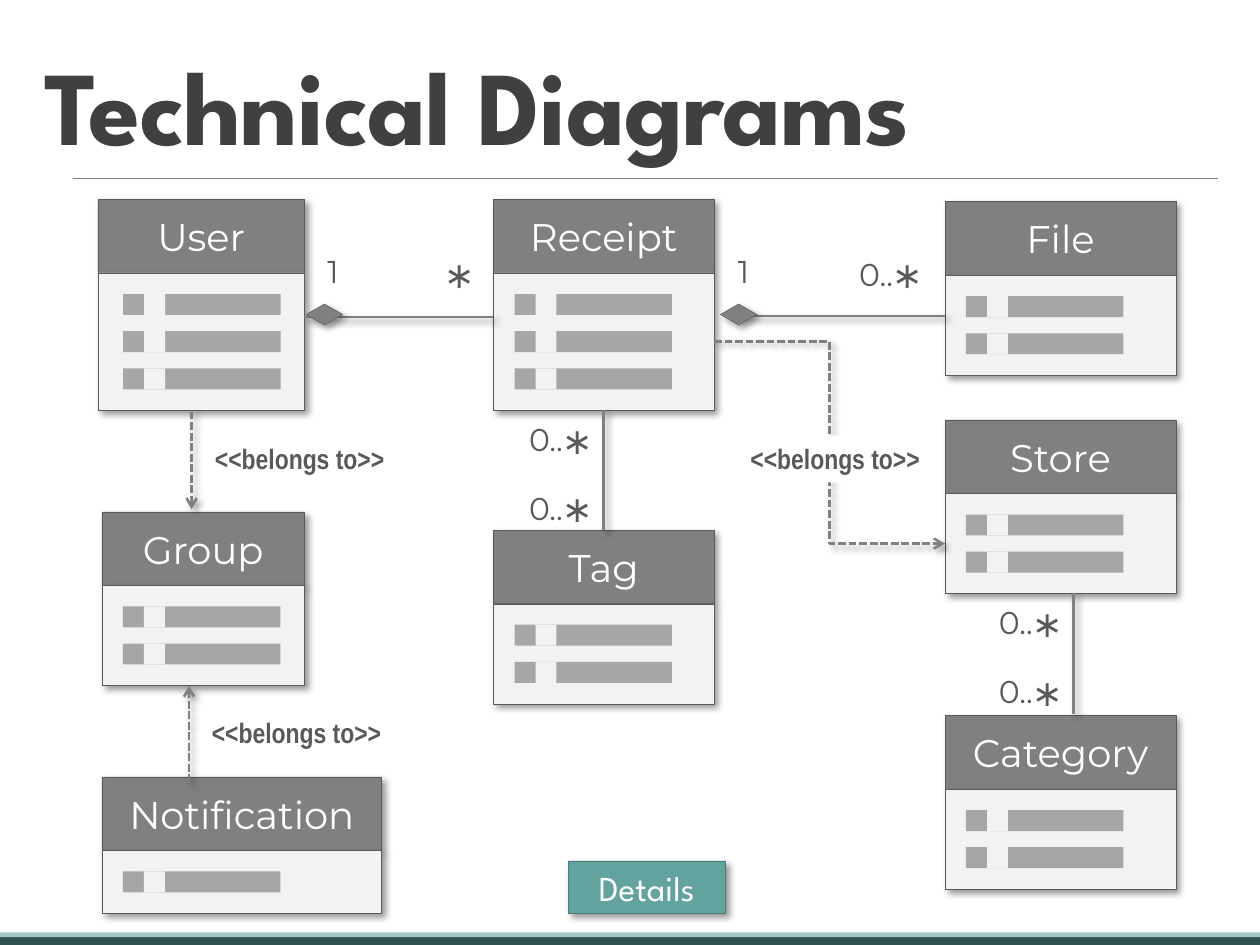
from lxml import etree
from pptx import Presentation, util as u
from pptx.dml.color import RGBColor
from pptx.enum import shapes, text
from pptx.oxml.ns import qn

COLUMNS, ROWS = 120, 90
GREY, DARK, PALE, BAR, WHITE = "808080", "595959", "F2F2F2", "A6A6A6", "FFFFFF"
HEADER, FIELD, PITCH = 7, 2, 3.54  # heights and step of a class box, in grid rows

presentation = Presentation()
presentation.slide_width, presentation.slide_height = u.Inches(10), u.Inches(7.5)
CELL = presentation.slide_width / COLUMNS


def grid(*cells):
    return [u.Emu(round(cell * CELL)) for cell in cells]


def colour(value):
    return RGBColor.from_string(value)


def add_effects(shape, shadow):
    """Replace the theme's effects by a soft shadow or by none."""
    effects = etree.SubElement(shape.element.spPr, qn("a:effectLst"))
    if shadow:
        outer = etree.SubElement(effects, qn("a:outerShdw"), blurRad=str(u.Pt(4)),
                                 dist=str(u.Pt(3)), dir="2700000", algn="tl", rotWithShape="0")
        black = etree.SubElement(outer, qn("a:srgbClr"), val="000000")
        etree.SubElement(black, qn("a:alpha"), val="40000")


def style_text(paragraph, size, name, fill, bold=False):
    font = paragraph.font
    font.size, font.name, font.bold = u.Pt(size), name, bold
    font.color.rgb = colour(fill)


def add_block(slide, box, fill, outline=None, kind=shapes.MSO_SHAPE.RECTANGLE):
    block = slide.shapes.add_shape(kind, *grid(*box))
    block.fill.solid()
    block.fill.fore_color.rgb = colour(fill)
    if outline:
        block.line.color.rgb = colour(outline)
        block.line.width = u.Pt(0.25)
    else:
        block.line.fill.background()
    add_effects(block, shadow=bool(outline))
    return block


def add_caption_block(slide, box, caption, fill, outline, size, font):
    block = add_block(slide, box, fill, outline)
    block.text_frame.vertical_anchor = text.MSO_ANCHOR.MIDDLE
    paragraph = block.text_frame.paragraphs[0]
    paragraph.text = caption
    paragraph.alignment = text.PP_ALIGN.CENTER
    style_text(paragraph, size, font, WHITE)
    return block


def add_class(slide, name, left, top, width, fields, inset=2):
    """Draw a class box with its placeholder fields; return its header and body."""
    header = add_caption_block(slide, (left, top, width, HEADER), name, GREY, DARK, 22, "Montserrat")
    body_top = top + HEADER
    body = add_block(slide, (left, body_top, width, 2.46 + fields * PITCH), PALE, DARK)
    for index in range(fields):
        field_left, field_top = left + inset, body_top + 2 + index * PITCH
        add_block(slide, (field_left, field_top, 15, FIELD), BAR)
        add_block(slide, (field_left + FIELD, field_top, FIELD, FIELD), PALE)
    return header, body


def add_line(slide, start, end, width=1.5, dashed=False, shadow=True,
             kind=shapes.MSO_CONNECTOR.STRAIGHT):
    """Draw a line; a dashed one is a dependency and ends in an arrow."""
    line = slide.shapes.add_connector(kind, *grid(*start, *end))
    line.line.color.rgb = colour(GREY)
    line.line.width = u.Pt(width)
    if dashed:
        properties = line.line._get_or_add_ln()
        etree.SubElement(properties, qn("a:prstDash"), val="sysDash")
        etree.SubElement(properties, qn("a:tailEnd"), type="arrow")
    add_effects(line, shadow)
    return line


def add_label(slide, box, caption, size=18):
    label = slide.shapes.add_textbox(*grid(*box))
    label.text_frame.word_wrap = True
    label.text_frame.auto_size = text.MSO_AUTO_SIZE.SHAPE_TO_FIT_TEXT
    paragraph = label.text_frame.paragraphs[0]
    paragraph.text = caption
    style_text(paragraph, size, "Montserrat", DARK)
    return label


def add_star(slide, left, top):
    add_label(slide, (left, top, 4, 8.5), "*", 36)


def add_zero_to_many(slide, left, top):
    add_star(slide, left + 3.45, top - 0.45)
    add_label(slide, (left, top, 7.45, 4.85), "0..")


def add_belongs_to(slide, left, top):
    label = add_label(slide, (left, top, 18.7, 4.45), "<<belongs to>>")
    label.text_frame.word_wrap = False
    label.fill.solid()
    label.fill.fore_color.rgb = colour(WHITE)
    style_text(label.text_frame.paragraphs[0], 16, "Arial Narrow", DARK, bold=True)


def add_composition(slide, diamond_left, start, end):
    """Draw a one-to-many line with a diamond at its owning end."""
    add_line(slide, start, end)
    diamond = add_block(slide, (diamond_left, 28.2, 2, 3.5), GREY, DARK, shapes.MSO_SHAPE.DIAMOND)
    diamond.rotation = 270


def add_frame(slide):
    add_block(slide, (0, 89.2, COLUMNS, 0.8), "305250")
    add_block(slide, (0, 88.8, COLUMNS, 0.45), "A1C8C5")
    add_line(slide, (7, 17), (116, 17), width=0.5, shadow=False)


def fill_title(slide, box, caption):
    title = slide.shapes.title
    title.left, title.top, title.width, title.height = grid(*box)
    title.text_frame.vertical_anchor = text.MSO_ANCHOR.BOTTOM
    title.text_frame.auto_size = text.MSO_AUTO_SIZE.NONE
    paragraph = title.text_frame.paragraphs[0]
    run = paragraph.add_run()
    run.text = caption
    run.font._element.set("spc", "-50")
    paragraph.alignment = text.PP_ALIGN.LEFT
    paragraph.line_spacing = 0.85
    style_text(paragraph, 60, "League Spartan", "404040", bold=True)


def add_relations(slide, classes):
    add_composition(slide, 29.9, (29, 30.2), (47, 30.2))
    add_composition(slide, 69.35, (70.4, 30.1), (90, 30.1))
    for left in (30, 69.1):
        add_label(slide, (left, 23.4, 4, 4.85), "1")
    add_star(slide, 41.4, 23.2)
    add_zero_to_many(slide, 80.65, 23.65)

    store_link = add_line(slide, (68, 32.5), (90, 51.8), dashed=True,
                          kind=shapes.MSO_CONNECTOR.ELBOW)
    store_link.begin_connect(classes["Receipt"][1], 3)
    store_link.end_connect(classes["Store"][1], 1)
    tag_link = add_line(slide, (57.5, 39), (57.5, 50.5))
    tag_link.begin_connect(classes["Receipt"][1], 2)
    tag_link.end_connect(classes["Tag"][0], 0)
    add_line(slide, (102.25, 56.5), (102.25, 68))
    for left, top in ((49.2, 39.4), (93.95, 56.85)):
        for offset in (0, 6.55):
            add_zero_to_many(slide, left, top + offset)

    add_line(slide, (18.25, 39.2), (18.25, 48.5), dashed=True)
    add_line(slide, (18, 74.5), (18, 65.3), dashed=True)
    for left, top in ((70.3, 41.5), (19.3, 41.5), (19, 67.55)):
        add_belongs_to(slide, left, top)


def main():
    slide = presentation.slides.add_slide(presentation.slide_layouts[5])
    add_frame(slide)
    fill_title(slide, (3, 2, 109, 14.5), "Technical Diagrams")
    layout = {
        "User": (9.33, 19, 19.67, 3, 2.4),
        "Receipt": (47, 19, 21, 3),
        "File": (90, 19.2, 22, 2),
        "Group": (9.7, 48.75, 19.3, 2),
        "Tag": (47, 50.5, 21, 2),
        "Store": (90, 40, 22, 2),
        "Category": (90, 68.15, 22, 2),
        "Notification": (9.7, 74, 26.65, 1),
    }
    classes = {name: add_class(slide, name, *place) for name, place in layout.items()}
    add_relations(slide, classes)
    add_caption_block(slide, (54.1, 82, 15, 5), "Details", "62A39F", "487B78", 20, "League Spartan")
    presentation.save("out.pptx")


if __name__ == "__main__":
    main()
